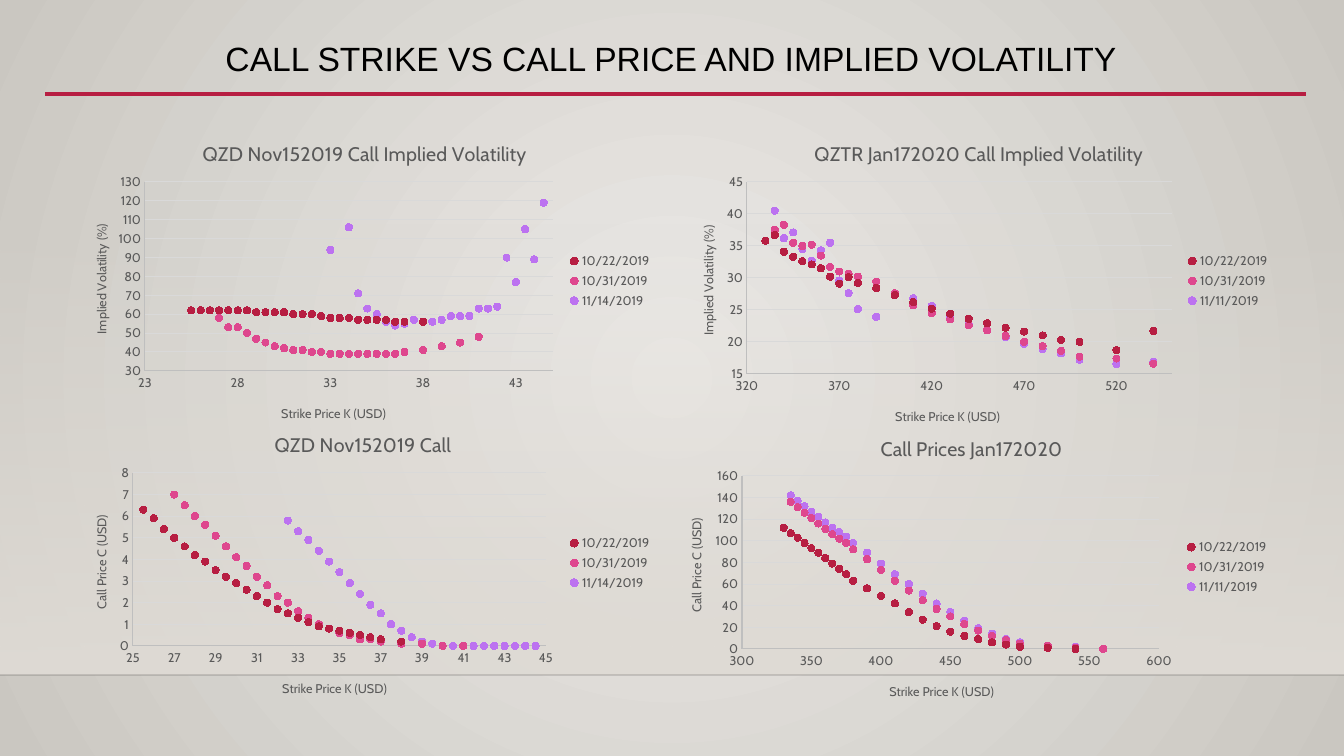
from lxml import etree
from pptx import Presentation
from pptx import util as u
from pptx.chart.data import XyChartData
from pptx.dml.color import RGBColor
from pptx.enum import chart as ch, shapes, text
from pptx.oxml.ns import qn

THEME = {
    "series": ["B71E42", "DE478E", "BC72F0"],
    "ink": "000000", "label": "595959", "axis": "BFBFBF", "grid": "D9D9D9",
    "accent": "B71E42", "floor": "000001", "wall": "DFDBD5",
    "glow": "ECEAE7", "edge": "CAC7C1",
    "heading_font": "Arial", "chart_font": "Cabin",
    "heading": 24, "chart_title": 14, "small": 9,
}

HEADING = "CALL STRIKE VS CALL PRICE AND IMPLIED VOLATILITY "
STRIKE = "Strike Price K (USD)"
VOLATILITY = ("Implied Volatility (%)", 55)
PRICE = ("Call Price C (USD)", 47)

HALF_STEPS = [k / 2 for k in range(51, 90)]
QZD_STRIKES = {
    "10/22/2019": HALF_STEPS[:24] + [38],
    "10/31/2019": HALF_STEPS[3:24] + [38, 39, 40, 41],
    "11/14/2019": HALF_STEPS[14:],
}
LADDER = [*range(330, 380, 5), *range(380, 501, 10), 520, 540, 560]
QZTR_STRIKES = {
    "10/22/2019": LADDER[:-1],
    "10/31/2019": LADDER[1:],
    "11/11/2019": LADDER[1:],
}

CHARTS = [
    dict(title="QZTR Jan172020 Call Implied Volatility", y_title=VOLATILITY,
         box=(672, 121, 608, 320), plot=(747, 182, 425, 192), title_lefts=(811, 893),
         x_axis=(320, 550, 50), y_axis=(15, 45, 5), strikes=QZTR_STRIKES, digits=1,
         curves=[
             ([35.8, 34.1, 32.6, 31.5, 29.1, 29.2, 27.3, 25.2, 23.6, 22.2, 21, 20, 21.7],
              {1: 36.7, 9: 30.1, 23: 18.7}),
             ([37.5, 35.5, 35.2, 31.7, 30.6, 29.4, 25.7, 23.5, 21.8, 20, 18.6, 17.4, 20.1],
              {1: 38.3, 3: 35, 23: 16.6}),
             ([40.5, 37.1, 32.7, 35.5, 27.6, 23.9, 26.8, 23.8, 21.8, 19.7, 18.2, 16.5, 17.6],
              {1: 36.2, 7: 29.6, 11: 27.5}),
         ]),
    dict(title="Call Prices Jan172020", y_title=PRICE,
         box=(660, 416, 619, 302), plot=(742, 476, 417, 173), title_lefts=(877, 887),
         x_axis=(300, 600, 50), y_axis=(0, 160, 20), strikes=QZTR_STRIKES, digits=0,
         curves=[
             ([112, 98, 84, 69, 49, 27, 12, 4, 0], {}),
             ([136, 121, 106, 92, 63, 37, 17, 5, 0], {}),
             ([142, 127, 112, 98, 69, 42, 19, 6, 0], {}),
         ]),
    dict(title="QZD Nov152019 Call Implied Volatility", y_title=VOLATILITY,
         box=(65, 121, 597, 320), plot=(145, 182, 408, 189), title_lefts=(199, 279),
         x_axis=(23, 45, 5), y_axis=(30, 130, 10), strikes=QZD_STRIKES, digits=0,
         curves=[
             ([62, 62, 61, 60, 58, 57, 56], {}),
             ([58, 50, 43, 41, 39, 39, 39, 41, 48], {1: 53}),
             ([0, 0, 71, 60, 54, 57, 56, 59, 59, 63, 90, 105, 119],
              {1: 94, 3: 106, 5: 63, 17: 63, 19: 64, 21: 77, 23: 89}),
         ]),
    dict(title="QZD Nov152019 Call", y_title=PRICE,
         box=(65, 412, 597, 302), plot=(133, 473, 413, 173), title_lefts=(271, 280),
         x_axis=(25, 45, 2), y_axis=(0, 8, 1), strikes=QZD_STRIKES, digits=1,
         curves=[
             ([6.3, 4.6, 3.2, 2, 1.1, 0.6, 0.2], {}),
             ([7, 5.1, 3.2, 1.6, 0.6, 0.2, 0], {}),
             ([5.8, 3.9, 1.9, 0.4, 0, 0, 0], {}),
         ]),
]


def px(*lengths):
    return [round(n * 914400 / 100.8) for n in lengths]


def rgb(name):
    return RGBColor.from_string(THEME.get(name, name))


def spline(knots, exceptions, count, digits):
    ends = [2 * knots[0] - knots[1], *knots, 2 * knots[-1] - knots[-2]]
    step = (count - 1) // (len(knots) - 1)
    values = []
    for i in range(count):
        k = min(i // step, len(knots) - 2)
        t = i / step - k
        a, b, c, d = ends[k:k + 4]
        bend = (2 * a - 5 * b + 4 * c - d) * t ** 2 + (3 * b - a - 3 * c + d) * t ** 3
        value = b + ((c - a) * t + bend) / 2
        values.append(exceptions.get(i, max(0, round(value, digits))))
    return values


def style(font, face="chart_font", size="small", color="label"):
    font.name, font.size, font.bold = THEME[face], u.Pt(THEME[size]), False
    font.color.rgb = rgb(color)


def write(tf, words, align=None, spacing=None, **font):
    p = tf.paragraphs[0]
    p.alignment, p.line_spacing = align, spacing
    r = p.add_run()
    r.text = words
    style(r.font, **font)


def gradient(fill, *colors):
    fill.gradient()
    for stop, color in zip(fill.gradient_stops, colors):
        stop.color.rgb = rgb(color)


def set_alpha(sp, percent):
    color = next(sp._element.spPr.iter(qn("a:srgbClr")))
    etree.SubElement(color, qn("a:alpha"), val=str(percent * 1000))


def rule(s, x1, x2, y, color, width):
    line = s.shapes.add_connector(shapes.MSO_CONNECTOR.STRAIGHT, *px(x1, y, x2, y))
    line.line.color.rgb, line.line.width = rgb(color), u.Pt(width)
    etree.SubElement(line._element.spPr, qn("a:effectLst"))
    return line


def place(parent, index, box, at, inner=False):
    for old in parent.findall(qn("c:layout")):
        parent.remove(old)
    layout = etree.Element(qn("c:layout"))
    parent.insert(index, layout)
    manual = etree.SubElement(layout, qn("c:manualLayout"))
    left, top, width, height = box
    parts = [("layoutTarget", "inner")] if inner else []
    parts += [("xMode", "edge"), ("yMode", "edge"),
              ("x", (at[0] - left) / width), ("y", (at[1] - top) / height)]
    if inner:
        parts += [("w", at[2] / width), ("h", at[3] / height)]
    for tag, value in parts:
        etree.SubElement(manual, qn("c:" + tag), val=str(value))


def add_title(owner, words, box, at, **font):
    owner.has_title = True
    title = owner.chart_title if hasattr(owner, "chart_title") else owner.axis_title
    write(title.text_frame, words, **font)
    place(title._element, 1, box, at)
    return title


def add_scatter(s, c):
    data = XyChartData()
    for (day, strikes), (knots, exceptions) in zip(c["strikes"].items(), c["curves"]):
        points = data.add_series(day)
        for point in zip(strikes, spline(knots, exceptions, len(strikes), c["digits"])):
            points.add_data_point(*point)
    box, plot = c["box"], c["plot"]
    title_left, x_title_left = c["title_lefts"]
    y_words, y_reach = c["y_title"]
    chart = s.shapes.add_chart(ch.XL_CHART_TYPE.XY_SCATTER, *px(*box), data).chart
    style(chart.font)
    add_title(chart, c["title"], box, (title_left, box[1] + 16), size="chart_title")
    chart.has_legend = True
    chart.legend.position = ch.XL_LEGEND_POSITION.RIGHT
    chart.legend.include_in_layout = False
    style(chart.legend.font)
    chart.plots[0].vary_by_categories = False
    for dots, color in zip(chart.plots[0].series, THEME["series"]):
        dots.smooth = False
        dots.format.line.fill.background()
        dots.marker.style, dots.marker.size = ch.XL_MARKER_STYLE.CIRCLE, 5
        dots.marker.format.fill.solid()
        dots.marker.format.fill.fore_color.rgb = rgb(color)
        dots.marker.format.line.color.rgb = rgb(color)
    for axis, limits in ((chart.category_axis, c["x_axis"]), (chart.value_axis, c["y_axis"])):
        axis.minimum_scale, axis.maximum_scale, axis.major_unit = limits
        axis.major_tick_mark = axis.minor_tick_mark = ch.XL_TICK_MARK.NONE
        axis.format.line.color.rgb, axis.format.line.width = rgb("axis"), u.Pt(0.75)
        style(axis.tick_labels.font)
    chart.category_axis.has_major_gridlines = False
    chart.value_axis.has_major_gridlines = True
    grid = chart.value_axis.major_gridlines.format.line
    grid.color.rgb, grid.width = rgb("grid"), u.Pt(0.75)
    add_title(chart.category_axis, STRIKE, box, (x_title_left, plot[1] + plot[3] + 31))
    y_top = plot[1] + plot[3] / 2 - y_reach
    upright = add_title(chart.value_axis, y_words, box, (box[0] + 25, y_top))
    body = upright._element.find(".//" + qn("a:bodyPr"))
    body.set("rot", "-5400000")
    body.set("vert", "horz")
    place(chart._chartSpace.find(".//" + qn("c:plotArea")), 0, box, plot, inner=True)


def main():
    prs = Presentation()
    prs.slide_width, prs.slide_height = px(1344, 756)
    s = prs.slides.add_slide(prs.slide_layouts[6])

    gradient(s.background.fill, "glow", "edge")
    fill = next(s._element.iter(qn("a:gradFill")))
    fill.remove(fill.find(qn("a:lin")))
    circle = etree.SubElement(fill, qn("a:path"), {"path": "circle"})
    etree.SubElement(circle, qn("a:fillToRect"), {side: "50000" for side in "ltrb"})

    wall = s.shapes.add_shape(shapes.MSO_SHAPE.RECTANGLE, *px(0, 223, 1344, 452))
    wall.shadow.inherit = False
    wall.line.fill.background()
    gradient(wall.fill, "wall", "wall")
    wall.fill.gradient_angle = 270
    set_alpha(wall, 0)
    set_alpha(rule(s, 0, 1344, 675, "floor", 1), 20)
    rule(s, 45, 1306, 94, "accent", 2.5)

    tf = s.shapes.add_textbox(*px(45, 34, 1261, 53)).text_frame
    tf.word_wrap = True
    tf.vertical_anchor = text.MSO_ANCHOR.MIDDLE
    write(tf, HEADING, align=text.PP_ALIGN.CENTER, spacing=0.9,
          face="heading_font", size="heading", color="ink")

    for c in CHARTS:
        add_scatter(s, c)
    prs.save("out.pptx")


if __name__ == "__main__":
    main()
